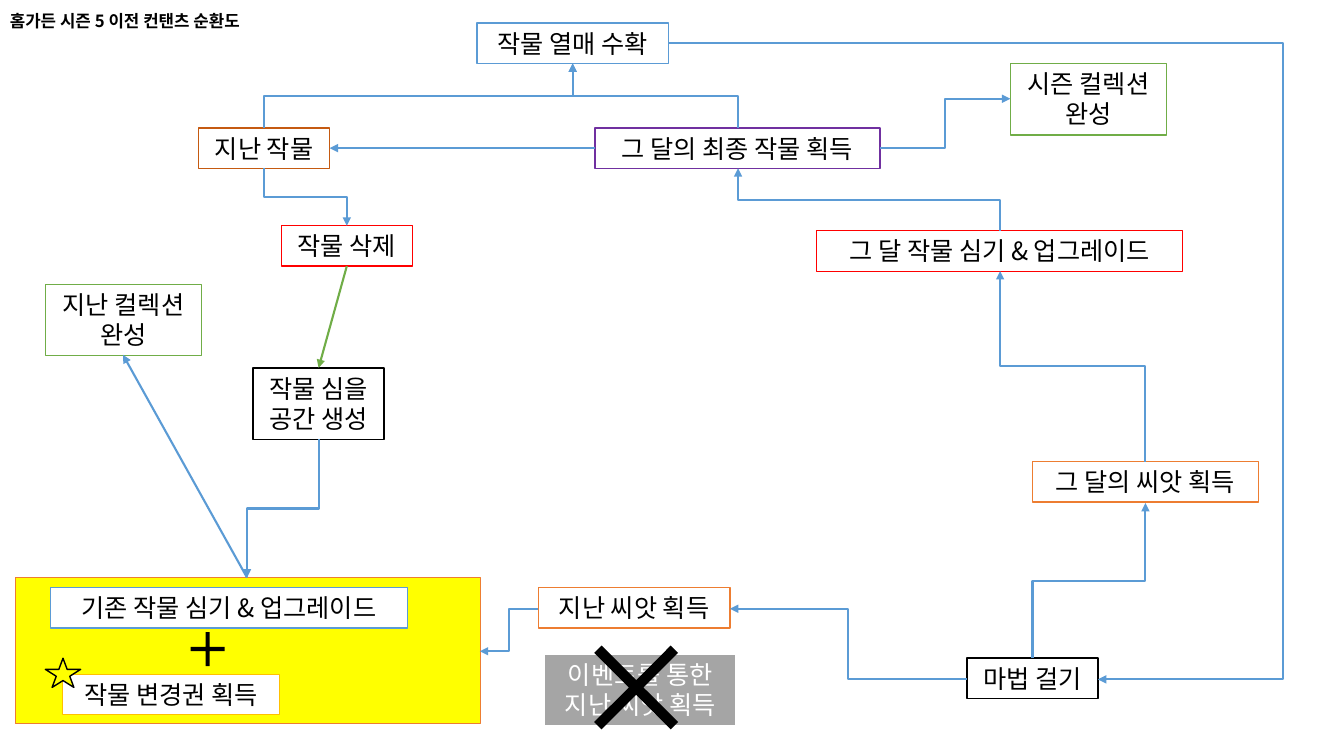
"""Draw the content cycle flow of the home garden before season 5."""
from lxml import etree
from pptx import Presentation
from pptx import util as u
from pptx.dml.color import RGBColor
from pptx.enum import shapes, text
from pptx.oxml.ns import qn

THEME = dict(
    font="Noto Sans CJK KR", title=12, body=18, flow=1.5,
    black="000000", white="FFFFFF", green="70AD47", purple="7030A0",
    orange="ED7D31", brown="C55A11", blue="5B9BD5", red="FF0000",
    gold="FFC000", yellow="FFFF00", gray="A5A5A5",
)
TITLE = "홈가든 시즌 5 이전 컨탠츠 순환도"

# text, left, top, width, outline, outline width
BOXES = [
    ("마법 걸기", 9.59, 6.53, 1.3, "black", 1),
    ("시즌 컬렉션\n완성", 10.02, 0.63, 1.55, "green", 1),
    ("지난 컬렉션\n완성", 0.45, 2.82, 1.55, "green", 1),
    ("그 달의 최종 작물 획득", 5.9, 1.27, 2.83, "purple", 1),
    ("지난 씨앗 획득", 5.34, 5.83, 1.9, "orange", 1),
    ("그 달의 씨앗 획득", 10.24, 4.58, 2.24, "orange", 1),
    ("지난 작물", 1.97, 1.27, 1.3, "brown", 1),
    ("작물 열매 수확", 4.73, 0.23, 1.9, "blue", 1),
    ("작물 심을\n공간 생성", 2.51, 3.65, 1.3, "black", 1),
    ("작물 삭제", 2.79, 2.24, 1.3, "red", 1),
    ("그 달 작물 심기 & 업그레이드", 8.1, 2.29, 3.63, "red", 0.5),
    ("기존 작물 심기 & 업그레이드", 0.5, 5.83, 3.54, "blue", 1),
    ("작물 변경권 획득", 0.62, 6.69, 2.15, "gold", 0.5),
]
EVENT = ("이벤트를 통한\n지난 씨앗 획득", 5.4, 6.49, 1.9, "white", 1.5)
PANEL = (0.15, 5.73, 4.61, 1.45)

# start x, start y, end x, end y
ACROSS = [
    (8.73, 1.47, 10.02, 0.98),
    (9.59, 6.74, 7.24, 6.04),
    (5.34, 6.04, 4.76, 6.46),
]
UPDOWN = [
    (7.32, 1.27, 5.68, 0.63),
    (2.62, 1.27, 5.68, 0.63),
    (2.62, 1.67, 3.44, 2.24),
    (10.24, 6.53, 11.36, 4.99),
    (3.16, 4.36, 2.45, 5.73),
    (11.36, 4.58, 9.92, 2.69),
    (9.92, 2.29, 7.32, 1.67),
]
DIRECT = [
    (5.9, 1.47, 3.27, 1.47, "blue"),
    (3.44, 2.64, 3.16, 3.65, "green"),
    (2.45, 5.73, 1.22, 3.52, "blue"),
]
RETURN = (6.63, 0.43, 10.89, 6.74)
BEND = 1.43

KIND = shapes.MSO_SHAPE
LINK = shapes.MSO_CONNECTOR


def tone(name):
    return RGBColor.from_string(THEME[name])


def assign(item, **values):
    for key, value in values.items():
        setattr(item, key, value)


def write(frame, words, size, color, bold=False, **form):
    for i, words in enumerate(words.split("\n")):
        para = frame.paragraphs[0] if i == 0 else frame.add_paragraph()
        assign(para, **form)
        run = para.add_run()
        run.text = words
        assign(run.font, name=THEME["font"], size=u.Pt(size), bold=bold)
        run.font.color.rgb = tone(color)
        east = etree.SubElement(run.font._element, qn("a:ea"))
        east.set("typeface", THEME["font"])


def shape(page, kind, place, fill, edge=None, width=1, adjust=None):
    item = page.add_shape(kind, *map(u.Inches, place))
    item.shadow.inherit = False
    item.fill.solid()
    item.fill.fore_color.rgb = tone(fill)
    if edge:
        item.line.color.rgb = tone(edge)
        item.line.width = u.Pt(width)
    else:
        item.line.fill.background()
    if adjust:
        item.adjustments[0] = adjust
    return item


def label(page, words, left, top, wide, edge, width, fill="white", ink="black"):
    tall = 0.71 if "\n" in words else 0.4
    item = shape(page, KIND.RECTANGLE, (left, top, wide, tall), fill, edge, width)
    frame = item.text_frame
    write(frame, words, THEME["body"], ink, alignment=text.PP_ALIGN.CENTER)
    assign(frame, word_wrap=False, auto_size=text.MSO_AUTO_SIZE.SHAPE_TO_FIT_TEXT,
           vertical_anchor=text.MSO_ANCHOR.TOP)


def arrow(page, kind, ends, color="blue"):
    link = page.add_connector(kind, *map(u.Inches, ends))
    link.line.color.rgb = tone(color)
    link.line.width = u.Pt(THEME["flow"])
    tip = etree.SubElement(link.line._get_or_add_ln(), qn("a:tailEnd"))
    tip.set("type", "triangle")
    etree.SubElement(link._element.spPr, qn("a:effectLst"))
    return link


def upright(page, x1, y1, x2, y2):
    midx, midy = (x1 + x2) / 2, (y1 + y2) / 2
    down = y2 > y1
    run = abs(y2 - y1) / 2
    rise = (x1 - x2) / 2 if down else (x2 - x1) / 2
    ends = midx - run, midy - rise, midx + run, midy + rise
    link = arrow(page, LINK.ELBOW, ends)
    turn = 90 if down else 270
    link._element.spPr.find(qn("a:xfrm")).set("rot", str(turn * 60000))


def main():
    deck = Presentation()
    assign(deck, slide_width=u.Inches(13.33), slide_height=u.Inches(7.5))
    page = deck.slides.add_slide(deck.slide_layouts[6]).shapes

    head = page.add_textbox(0, 0, u.Inches(13.33), u.Inches(0.43)).text_frame
    assign(head, word_wrap=True, vertical_anchor=text.MSO_ANCHOR.MIDDLE)
    write(head, TITLE, THEME["title"], "black", bold=True, line_spacing=0.9)

    shape(page, KIND.RECTANGLE, PANEL, "yellow", "orange", 0.5)
    for box in BOXES:
        label(page, *box)
    label(page, *EVENT, fill="gray", ink="white")

    for ends in ACROSS:
        arrow(page, LINK.ELBOW, ends)
    for ends in UPDOWN:
        upright(page, *ends)
    for *ends, color in DIRECT:
        arrow(page, LINK.STRAIGHT, ends, color)
    link = arrow(page, LINK.ELBOW, RETURN)
    guide = etree.SubElement(link._element.spPr.find(".//" + qn("a:avLst")), qn("a:gd"))
    guide.set("name", "adj1")
    guide.set("fmla", f"val {round(BEND * 100000)}")

    shape(page, KIND.STAR_5_POINT, (0.45, 6.53, 0.35, 0.29), "yellow", "black")
    shape(page, KIND.MATH_PLUS, (1.83, 6.21, 0.46, 0.46), "black", adjust=0.09)
    shape(page, KIND.MATH_MULTIPLY, (5.58, 6.09, 1.46, 1.46), "black", adjust=0.07)
    deck.save("out.pptx")


if __name__ == "__main__":
    main()
